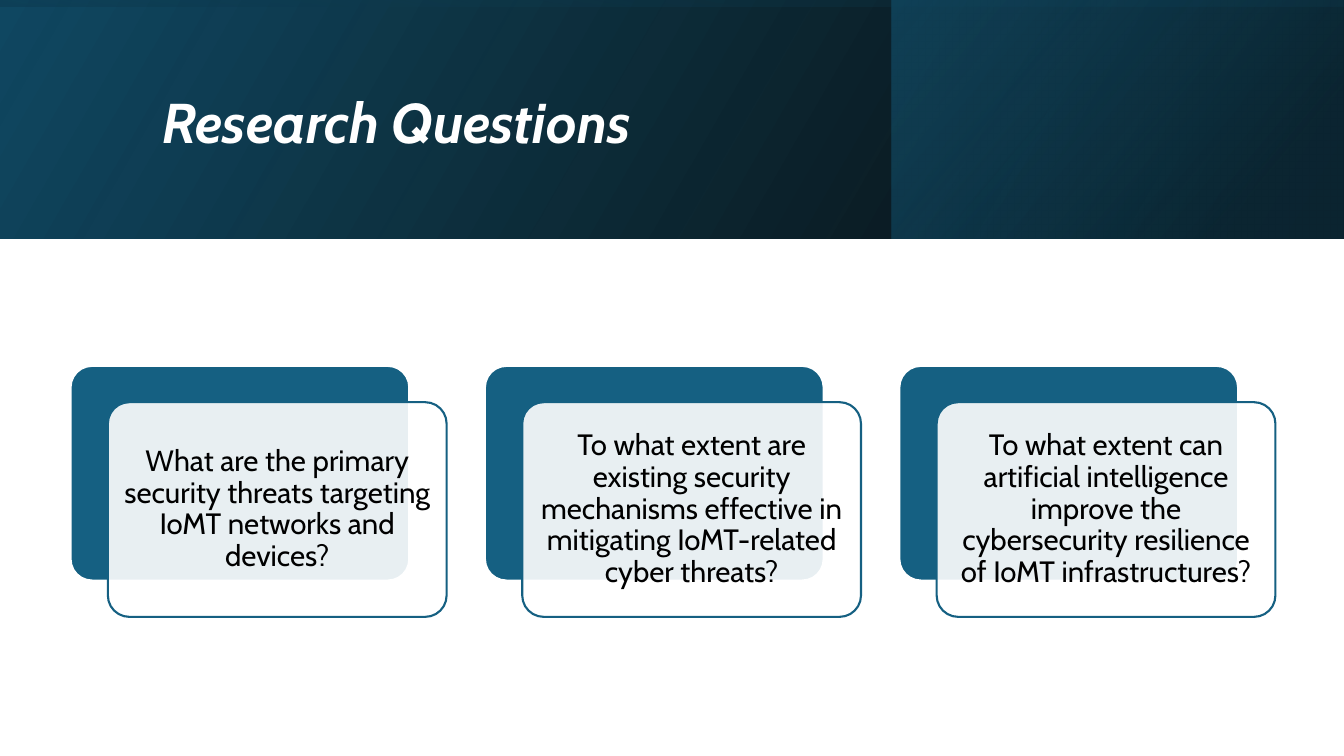
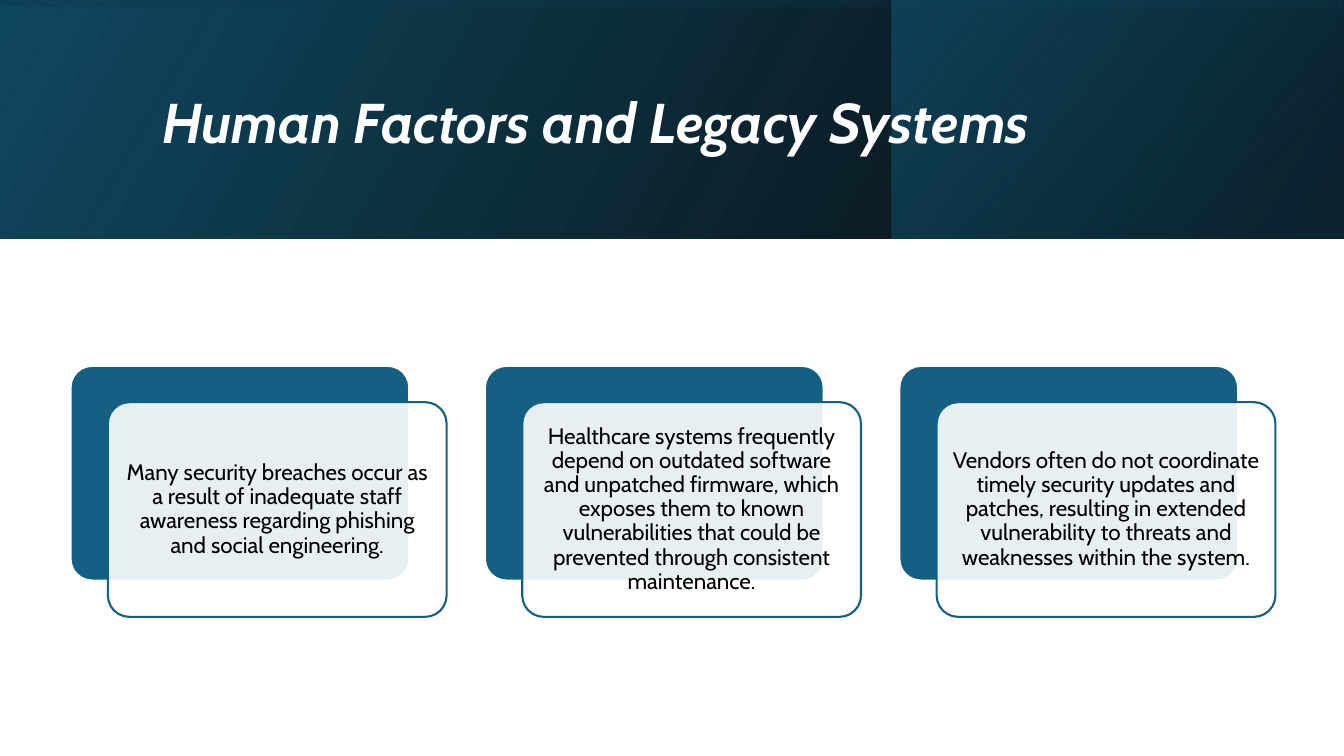
import pptx
import pptx.util
import pptx.dml.color
import pptx.enum.shapes
import pptx.enum.text
import pptx.oxml
import pptx.oxml.ns
from dataclasses import dataclass

# Content: title, text size, card texts
SLIDES = [
    ("Research Questions", 21, [
        "What are the primary security threats targeting IoMT networks and devices?",
        "To what extent are existing security mechanisms effective in mitigating "
        "IoMT-related cyber threats?",
        "To what extent can artificial intelligence improve the cybersecurity "
        "resilience of IoMT infrastructures?",
    ]),
    ("Human Factors and Legacy Systems", 16, [
        "Many security breaches occur as a result of inadequate staff awareness "
        "regarding phishing and social engineering.",
        "Healthcare systems frequently depend on outdated software and unpatched "
        "firmware, which exposes them to known vulnerabilities that could be "
        "prevented through consistent maintenance.",
        "Vendors often do not coordinate timely security updates and patches, "
        "resulting in extended vulnerability to threats and weaknesses within "
        "the system.",
    ]),
]


@dataclass(frozen=True)
class Theme:
    font: str = "Cabin"
    title_size: int = 40
    line_spacing: float = 0.9
    line_width: float = 1.5
    white: str = "FFFFFF"
    black: str = "000000"
    accent: str = "156082"
    deep: str = "104862"
    navy: str = "0B3041"


T = Theme()
SHAPE = pptx.enum.shapes.MSO_SHAPE
ALIGN = pptx.enum.text.PP_ALIGN
MIDDLE = pptx.enum.text.MSO_ANCHOR.MIDDLE
Inches, Pt = pptx.util.Inches, pptx.util.Pt

# Grid, in inches
SLIDE_W, SLIDE_H = 13.33, 7.5
BAND_H = 2.37
SIDE_X, SIDE_W = 8.84, 4.48
TITLE_BOX = (1.51, 0.38, 10.63, 1.72)
CARD_X, CARD_Y, CARD_W, CARD_H = 0.7, 3.63, 3.36, 2.13
CARD_PITCH = 4.11
CARD_SHIFT = (0.37, 0.36)

# Header layers: box, rotation, gradient angle, stops (position, colour, opacity)
HEADER = [
    ((0, 0, SLIDE_W, BAND_H), 0, 330, [(0, T.black, 96), (100, T.deep, 100)]),
    ((SIDE_X, 0, SIDE_W, BAND_H), 0, 320, [(19, T.navy, 68), (100, T.accent, 48)]),
    (((SLIDE_W - BAND_H) / 2, (BAND_H - SLIDE_W) / 2, BAND_H, SLIDE_W), 270, 350,
     [(23, T.deep, 16), (99, T.black, 45)]),
]


def rgb(color):
    return pptx.dml.color.RGBColor.from_string(color)


def add_shape(slide, kind, box):
    sp = slide.shapes.add_shape(kind, *map(Inches, box))
    sp.shadow.inherit = False
    return sp


def add_header_layer(slide, box, rotation, angle, stops):
    """Rectangle, mirrored left to right, with a see-through gradient."""
    sp = add_shape(slide, SHAPE.RECTANGLE, box)
    sp.rotation = rotation
    sp.line.fill.background()
    sp.fill.background()
    props = sp._element.spPr
    props.find(pptx.oxml.ns.qn("a:xfrm")).set("flipH", "1")
    marks = "".join(
        f'<a:gs pos="{pos * 1000}"><a:srgbClr val="{color}">'
        f'<a:alpha val="{alpha * 1000}"/></a:srgbClr></a:gs>'
        for pos, color, alpha in stops)
    gradient = pptx.oxml.parse_xml(
        f'<a:gradFill {pptx.oxml.ns.nsdecls("a")} rotWithShape="1">'
        f'<a:gsLst>{marks}</a:gsLst>'
        f'<a:lin ang="{angle * 60000}" scaled="0"/></a:gradFill>')
    props.replace(props.find(pptx.oxml.ns.qn("a:noFill")), gradient)


def write(sp, text, size, color, align, bold=None, italic=None):
    tf = sp.text_frame
    tf.word_wrap = True
    tf.vertical_anchor = MIDDLE
    p = tf.paragraphs[0]
    p.text = text
    p.alignment = align
    p.line_spacing = T.line_spacing
    font = p.runs[0].font
    font.name, font.size, font.color.rgb = T.font, Pt(size), rgb(color)
    font.bold, font.italic = bold, italic


def add_panel(slide, x, y, fill, line):
    sp = add_shape(slide, SHAPE.ROUNDED_RECTANGLE, (x, y, CARD_W, CARD_H))
    sp.adjustments[0] = 0.1
    sp.fill.solid()
    sp.fill.fore_color.rgb = rgb(fill)
    sp.line.color.rgb = rgb(line)
    sp.line.width = Pt(T.line_width)
    return sp


def add_card(slide, index, text, size):
    """Solid panel with a shifted, nearly opaque text panel over it."""
    x = CARD_X + index * CARD_PITCH
    add_panel(slide, x, CARD_Y, T.accent, T.white)
    sp = add_panel(slide, x + CARD_SHIFT[0], CARD_Y + CARD_SHIFT[1], T.white, T.accent)
    color = sp._element.spPr.find(
        pptx.oxml.ns.qn("a:solidFill")).find(pptx.oxml.ns.qn("a:srgbClr"))
    color.append(pptx.oxml.parse_xml(
        f'<a:alpha {pptx.oxml.ns.nsdecls("a")} val="90000"/>'))
    tf = sp.text_frame
    inset = Pt(size * 0.3)
    tf.margin_left = tf.margin_right = tf.margin_top = tf.margin_bottom = inset
    write(sp, text, size, T.black, ALIGN.CENTER)


def add_slide(prs, title, size, cards):
    slide = prs.slides.add_slide(prs.slide_layouts[6])
    for layer in HEADER:
        add_header_layer(slide, *layer)
    title_box = slide.shapes.add_textbox(*map(Inches, TITLE_BOX))
    write(title_box, title, T.title_size, T.white, ALIGN.LEFT, bold=True, italic=True)
    for index, text in enumerate(cards):
        add_card(slide, index, text, size)


def main():
    prs = pptx.Presentation()
    prs.slide_width, prs.slide_height = Inches(SLIDE_W), Inches(SLIDE_H)
    for content in SLIDES:
        add_slide(prs, *content)
    prs.save("out.pptx")


if __name__ == "__main__":
    main()
